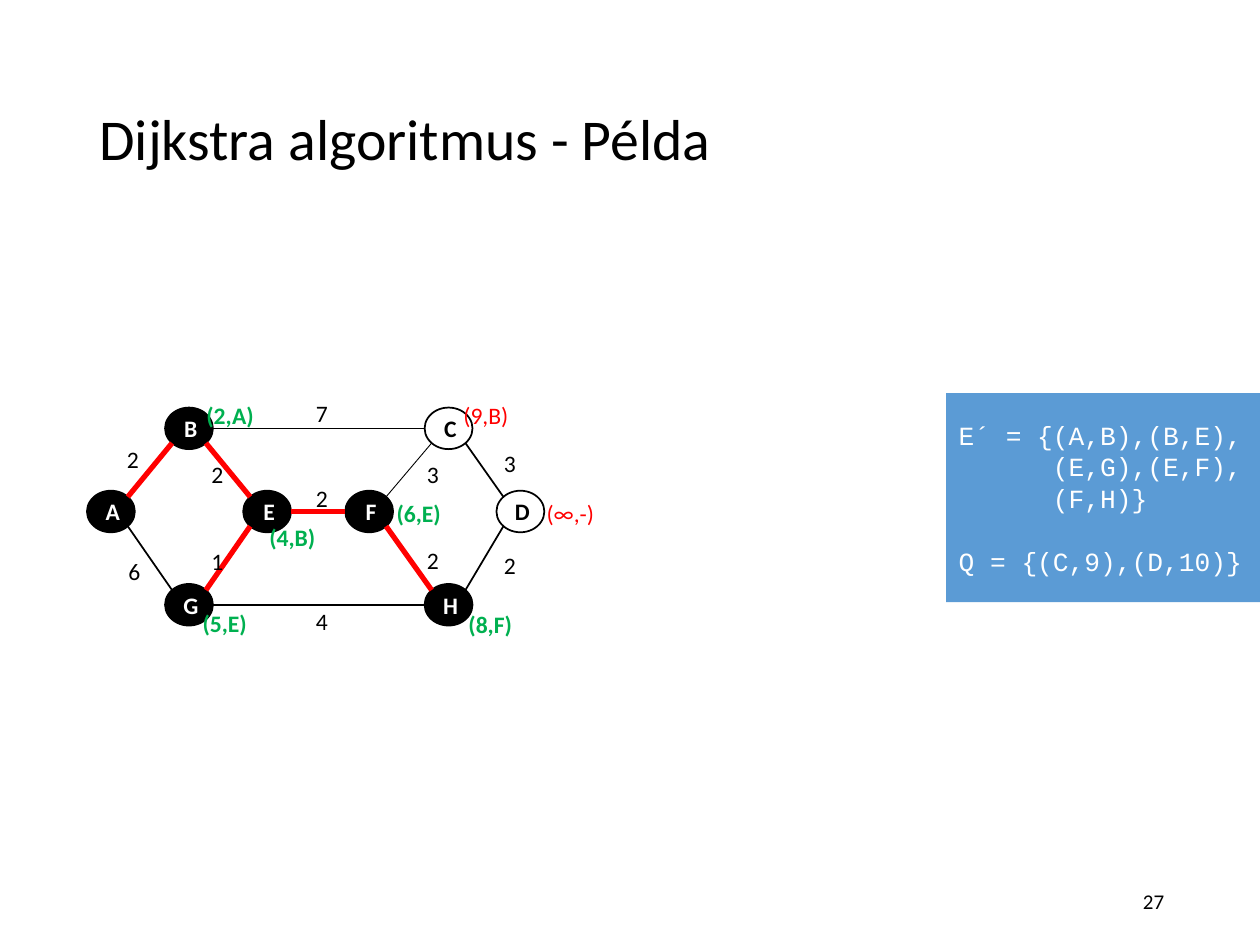
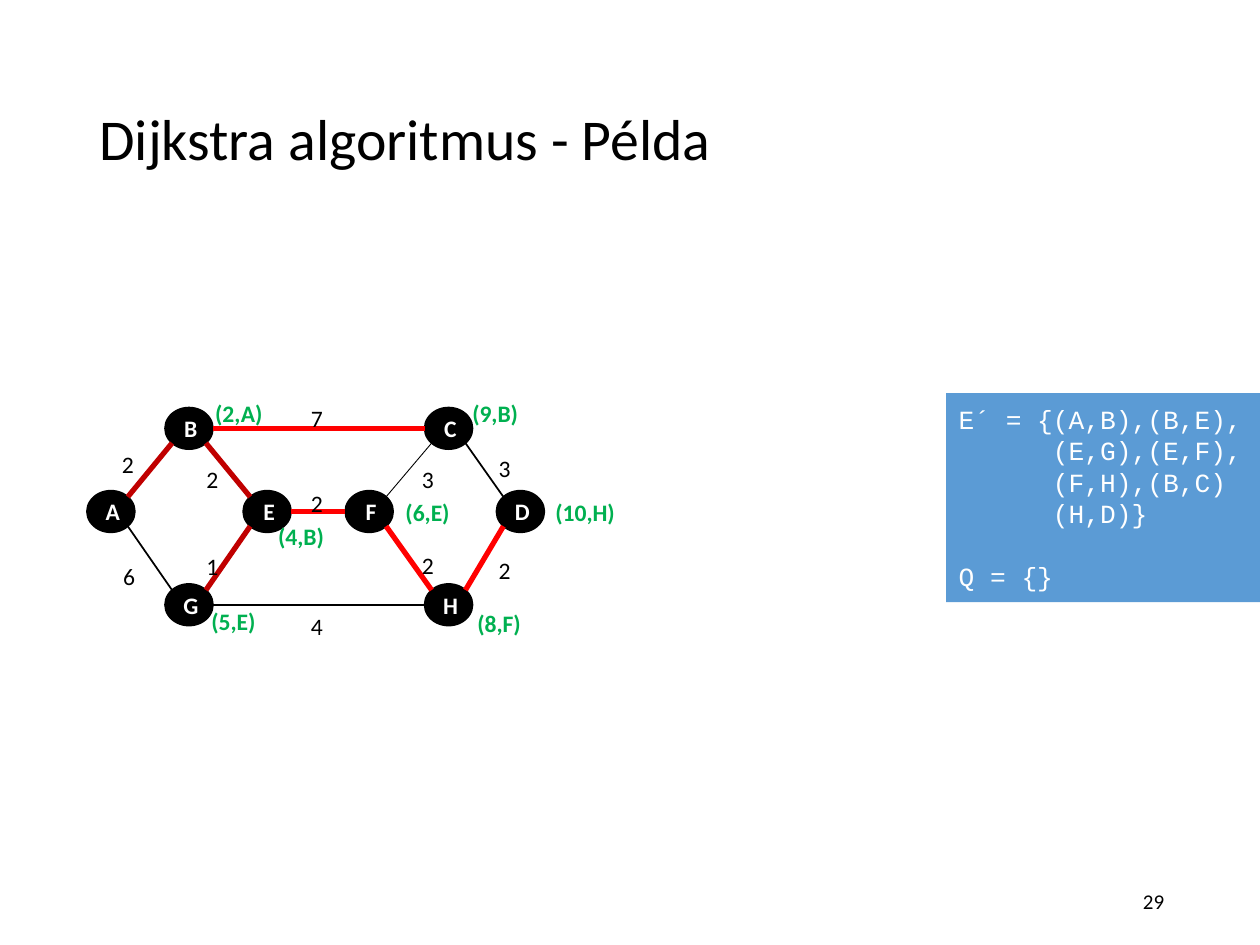
from math import sqrt

from lxml import etree
from pptx import Presentation
from pptx.dml.color import RGBColor
from pptx.enum.shapes import MSO_CONNECTOR, MSO_SHAPE
from pptx.enum.text import MSO_ANCHOR, PP_ALIGN
from pptx.oxml.ns import qn
from pptx.util import Inches, Pt

ELLIPSE, RECTANGLE = MSO_SHAPE.OVAL, MSO_SHAPE.RECTANGLE
STRAIGHT = MSO_CONNECTOR.STRAIGHT
MIDDLE, TOP = MSO_ANCHOR.MIDDLE, MSO_ANCHOR.TOP
LEFT, CENTER, RIGHT = PP_ALIGN.LEFT, PP_ALIGN.CENTER, PP_ALIGN.RIGHT

COLORS = {"black": "000000", "white": "FFFFFF", "red": "FF0000",
          "dark red": "C00000", "green": "00B050", "blue": "5B9BD5"}
BODY_FONT, CODE_FONT = "Calibri", "Courier New"
GRAPH_SIZE, CODE_SIZE = 13.5, 15
TITLE = "Dijkstra algoritmus - Példa"

# Graph: node centres on columns and rows
COLUMNS = [0.88, 1.5, 2.12, 2.93, 3.56, 4.13]
ROWS = [3.4, 4.06, 4.8]
NODE_WIDTH, NODE_HEIGHT = 0.38, 0.33
NODES = {"A": (0, 1), "B": (1, 0), "G": (1, 2), "C": (4, 0),
         "H": (4, 2), "D": (5, 1), "E": (2, 1), "F": (3, 1)}

# Edge: weight and the place of its label
EDGES = {"AB": ("2", 0.91, 3.48), "AG": ("6", 0.92, 4.37),
         "BC": ("7", 2.41, 3.12), "GH": ("4", 2.41, 4.77),
         "HD": ("2", 3.9, 4.32), "CD": ("3", 3.9, 3.51),
         "BE": ("2", 1.58, 3.6), "GE": ("1", 1.58, 4.29),
         "EF": ("2", 2.41, 3.79), "FC": ("3", 3.29, 3.6),
         "FH": ("2", 3.29, 4.28)}
THIN_EDGE = "FC"

# Places of the (distance, parent) labels
DISTANCE_PLACES = {"F": (3.05, 3.91), "E": (2.04, 4.1), "G": (1.51, 4.78),
                   "B": (1.54, 3.13), "C": (3.58, 3.13), "D": (4.24, 3.91),
                   "H": (3.62, 4.79)}
WEIGHT_WIDTH, DISTANCE_WIDTH = 0.3, 0.7
KNOWN = {"B": "(2,A)", "E": "(4,B)", "F": "(6,E)", "G": "(5,E)", "H": "(8,F)"}

STEPS = [
    {"number": "27",
     "open": "CD",
     "distances": KNOWN | {"C": "(9,B)", "D": "(∞,-)"},
     "tree": {"red": ["AB", "BE", "GE", "EF", "FH"]},
     "weight shift": (0, 0), "distance shift": (0, 0),
     "code": ["E´ = {(A,B),(B,E),",
              "      (E,G),(E,F),",
              "      (F,H)}",
              "Q = {(C,9),(D,10)}"]},
    {"number": "29",
     "open": "",
     "distances": KNOWN | {"C": "(9,B)", "D": "(10,H)"},
     "tree": {"dark red": ["AB", "BE", "GE"],
              "red": ["BC", "HD", "EF", "FH"]},
     "weight shift": (-0.04, 0.04), "distance shift": (0.07, -0.01),
     "code": ["E´ = {(A,B),(B,E),",
              "      (E,G),(E,F),",
              "      (F,H),(B,C)",
              "      (H,D)}",
              "Q = {}"]},
]


def color(name):
    return RGBColor.from_string(COLORS[name])


def set_text(shape, lines, size, ink="black", bold=False, align=LEFT,
             anchor=MIDDLE, font=BODY_FONT, wrap=True):
    frame = shape.text_frame
    frame.word_wrap = wrap
    frame.vertical_anchor = anchor
    frame.text = "\n".join(lines)
    for paragraph in frame.paragraphs:
        paragraph.alignment = align
        paragraph.font.name = font
        paragraph.font.size = Pt(size)
        paragraph.font.bold = bold
        paragraph.font.color.rgb = color(ink)
    return frame


def add_text(slide, box, text, size, **style):
    shape = slide.shapes.add_textbox(*map(Inches, box))
    return set_text(shape, [text], size, **style)


def add_label(slide, place, shift, text, width, **style):
    left, top = (start + move for start, move in zip(place, shift))
    frame = add_text(slide, (left, top, width, 0.33), text, GRAPH_SIZE,
                     anchor=TOP, wrap=False, **style)
    frame.margin_right = 0


def add_filled(slide, kind, box, fill, outline=None):
    shape = slide.shapes.add_shape(kind, *map(Inches, box))
    shape.shadow.inherit = False
    shape.fill.solid()
    shape.fill.fore_color.rgb = color(fill)
    if outline:
        shape.line.color.rgb = color(outline)
        shape.line.width = Pt(1)
    else:
        shape.line.fill.background()
    return shape


def center(node):
    column, row = NODES[node]
    return COLUMNS[column], ROWS[row]


def edge_ends(edge):
    """Edges leave an ellipse at its side or at one of its diagonals."""
    (x1, y1), (x2, y2) = map(center, edge)
    if y1 == y2:
        dx, dy = NODE_WIDTH / 2, 0
    else:
        dx = NODE_WIDTH / 2 / sqrt(2)
        dy = NODE_HEIGHT / 2 / sqrt(2) * (1 if y2 > y1 else -1)
    return x1 + dx, y1 + dy, x2 - dx, y2 - dy


def add_edge(slide, edge, ink, width):
    line = slide.shapes.add_connector(STRAIGHT, *map(Inches, edge_ends(edge)))
    line.line.color.rgb = color(ink)
    line.line.width = Pt(width)
    etree.SubElement(line._element.spPr, qn("a:effectLst"))


def add_node(slide, node, is_open):
    x, y = center(node)
    box = (x - NODE_WIDTH / 2, y - NODE_HEIGHT / 2, NODE_WIDTH, NODE_HEIGHT)
    fill, ink = ("white", "black") if is_open else ("black", "white")
    shape = add_filled(slide, ELLIPSE, box, fill, "black")
    frame = set_text(shape, [node], GRAPH_SIZE, ink, True, CENTER, wrap=False)
    frame.margin_left, frame.margin_right = Inches(0.03), 0
    frame.margin_top = frame.margin_bottom = 0


def add_graph(slide, step):
    for node in NODES:
        add_node(slide, node, node in step["open"])
    tree = {edge: ink for ink, edges in step["tree"].items() for edge in edges}
    for edge in EDGES:
        plain_width = 0.5 if edge == THIN_EDGE else 1
        add_edge(slide, edge, tree.get(edge, "black"),
                 3 if edge in tree else plain_width)
    for weight, *place in EDGES.values():
        add_label(slide, place, step["weight shift"], weight, WEIGHT_WIDTH)
    for node, place in DISTANCE_PLACES.items():
        is_open = node in step["open"]
        add_label(slide, place, step["distance shift"],
                  step["distances"][node], DISTANCE_WIDTH,
                  ink="red" if is_open else "green", bold=not is_open)


def add_code(slide, lines):
    panel = add_filled(slide, RECTANGLE, (7.51, 3.12, 2.5, 1.66), "blue")
    frame = set_text(panel, lines, CODE_SIZE, "white", font=CODE_FONT)
    frame.paragraphs[-1].space_before = Pt(18)


def add_frame(slide, number):
    title = add_text(slide, (0.69, 0.4, 8.62, 1.45), TITLE, 33)
    title.paragraphs[0].line_spacing = 0.9
    footer = add_text(slide, (7.06, 6.95, 2.25, 0.4), number, 12, align=RIGHT)
    footer.margin_left = footer.margin_right = Inches(0.07)
    footer.margin_top = footer.margin_bottom = Inches(0.04)


def main():
    presentation = Presentation()
    presentation.slide_width, presentation.slide_height = Inches(10), Inches(7.5)
    for step in STEPS:
        slide = presentation.slides.add_slide(presentation.slide_layouts[6])
        add_frame(slide, step["number"])
        add_graph(slide, step)
        add_code(slide, step["code"])
    presentation.save("out.pptx")


if __name__ == "__main__":
    main()
